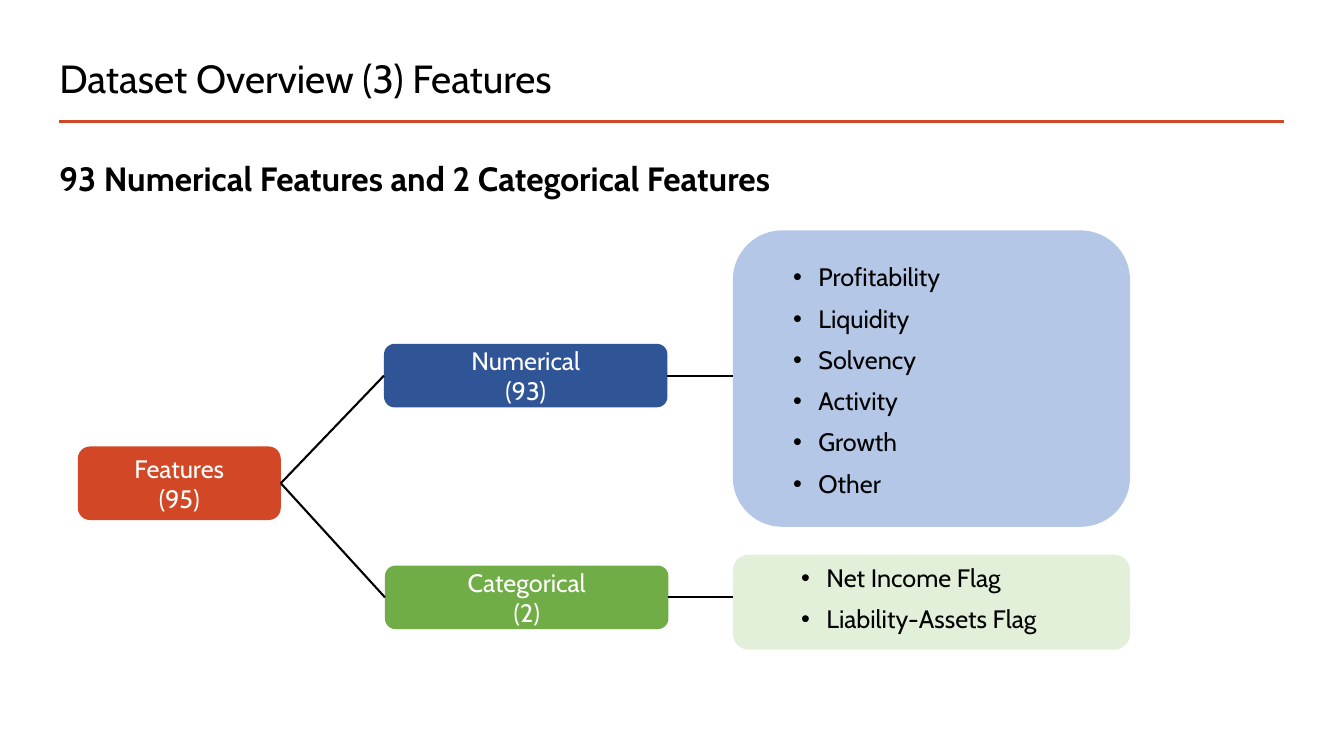
from pptx import Presentation
from pptx.dml.color import RGBColor
from pptx.enum.shapes import MSO_CONNECTOR, MSO_SHAPE
from pptx.enum.text import MSO_ANCHOR, PP_ALIGN
from pptx.oxml.ns import qn
from pptx.util import Pt
from lxml import etree

BLACK = RGBColor(0x00, 0x00, 0x00)
WHITE = RGBColor(0xFF, 0xFF, 0xFF)
RED = RGBColor(0xD2, 0x47, 0x26)
BLUE = RGBColor(0x2F, 0x55, 0x97)
GREEN = RGBColor(0x70, 0xAD, 0x47)
PALE_BLUE = RGBColor(0xB4, 0xC7, 0xE7)
PALE_GREEN = RGBColor(0xE2, 0xF0, 0xD9)

HEADING = {"line_spacing": 0.9}
LABEL = {"alignment": PP_ALIGN.CENTER}
LISTED = {"line_spacing": 0.9, "space_before": Pt(10)}
INDENT = Pt(18)


def write(frame, lines, layout, size=18, color=BLACK, bold=False):
    """Fill a text frame with one paragraph per line."""
    frame.word_wrap = True
    for number, line in enumerate(lines):
        para = frame.paragraphs[0] if number == 0 else frame.add_paragraph()
        for name, value in layout.items():
            setattr(para, name, value)
        span = para.add_run()
        span.text = line
        span.font.color.rgb = color
        for name, value in {"name": "Cabin", "size": Pt(size), "bold": bold}.items():
            setattr(span.font, name, value)


def add_heading(page, text, top, size, bold=False):
    box = page.shapes.add_textbox(Pt(35.3), Pt(top), Pt(720), Pt(50.4))
    box.text_frame.vertical_anchor = MSO_ANCHOR.MIDDLE
    write(box.text_frame, [text], HEADING, size, bold=bold)


def add_panel(page, left, top, width, height, color):
    """Add a plain rounded rectangle."""
    panel = page.shapes.add_shape(
        MSO_SHAPE.ROUNDED_RECTANGLE, Pt(left), Pt(top), Pt(width), Pt(height))
    panel.shadow.inherit = False
    panel.fill.solid()
    panel.fill.fore_color.rgb = color
    panel.line.fill.background()
    return panel


def add_node(page, name, count, left, top, width, height, color):
    """Add a tree node with its name above its count."""
    node = add_panel(page, left, top, width, height, color)
    node.text_frame.vertical_anchor = MSO_ANCHOR.MIDDLE
    write(node.text_frame, [name, f"({count})"], LABEL, color=WHITE)
    return node


def add_bullets(page, items, left, top, width, height):
    box = page.shapes.add_textbox(Pt(left), Pt(top), Pt(width), Pt(height))
    write(box.text_frame, items, LISTED)
    for para in box.text_frame.paragraphs:
        properties = para._p.get_or_add_pPr()
        properties.set("marL", str(INDENT))
        properties.set("indent", str(-INDENT))
        etree.SubElement(properties, qn("a:buFont"), typeface="Arial")
        etree.SubElement(properties, qn("a:buChar"), char="•")


def add_line(page, start, end, color=BLACK, weight=1.5):
    line = page.shapes.add_connector(MSO_CONNECTOR.STRAIGHT, *start, *end)
    line.line.color.rgb = color
    line.line.width = Pt(weight)
    etree.SubElement(line._element.spPr, qn("a:effectLst"))


def left_end(shape):
    return shape.left, shape.top + shape.height // 2


def right_end(shape):
    return shape.left + shape.width, shape.top + shape.height // 2


def main():
    deck = Presentation()
    deck.slide_width, deck.slide_height = Pt(960), Pt(540)
    page = deck.slides.add_slide(deck.slide_layouts[6])

    # Headings and rule
    add_line(page, (Pt(42), Pt(87)), (Pt(917.5), Pt(87)), RED, 2)
    add_heading(page, "Dataset Overview (3) Features", 32.4, 28)
    add_heading(page, "93 Numerical Features and 2 Categorical Features",
                103.7, 24, bold=True)

    # Root of the tree
    root = add_node(page, "Features", 95, 55.6, 318.9, 145, 52.6, RED)

    # Branches: node, panel and bullet list
    branches = [
        (("Numerical", 93, 274.3, 245.6, 202.5, 45.4, BLUE),
         (523.5, 164.6, 283.7, 211.7, PALE_BLUE),
         ["Profitability", "Liquidity", "Solvency", "Activity", "Growth", "Other"],
         (559.5, 185.8, 190, 180)),
        (("Categorical", 2, 275, 404, 202.5, 45.4, GREEN),
         (523.5, 396.2, 283.7, 67.9, PALE_GREEN),
         ["Net Income Flag", "Liability-Assets Flag"],
         (565.2, 400.3, 240, 64)),
    ]
    for node_values, panel_values, items, list_area in branches:
        node = add_node(page, *node_values)
        panel = add_panel(page, *panel_values)
        add_bullets(page, items, *list_area)
        add_line(page, right_end(root), left_end(node))
        node_x, node_y = right_end(node)
        add_line(page, (node_x, node_y), (panel.left, node_y))

    deck.save("out.pptx")


if __name__ == "__main__":
    main()
